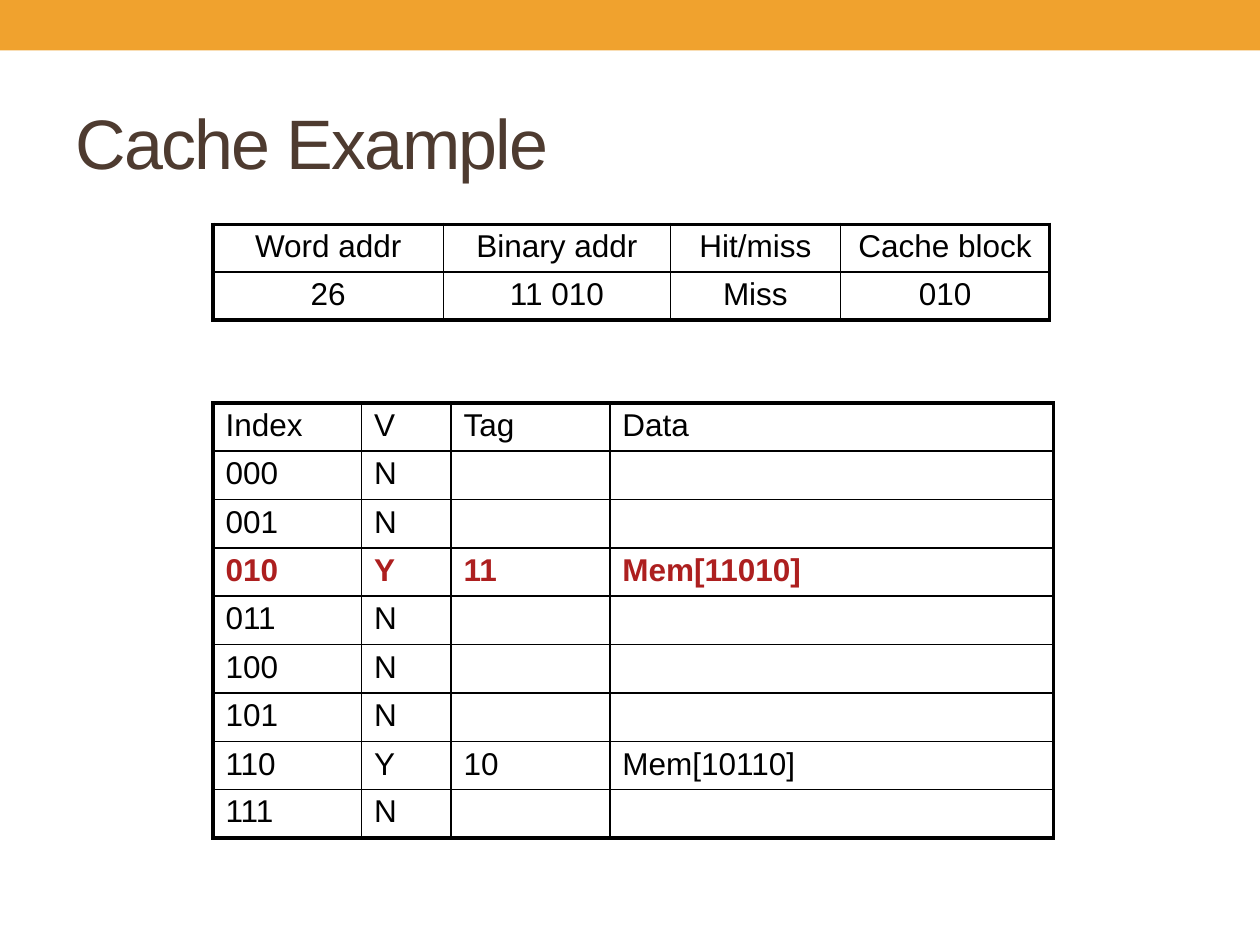
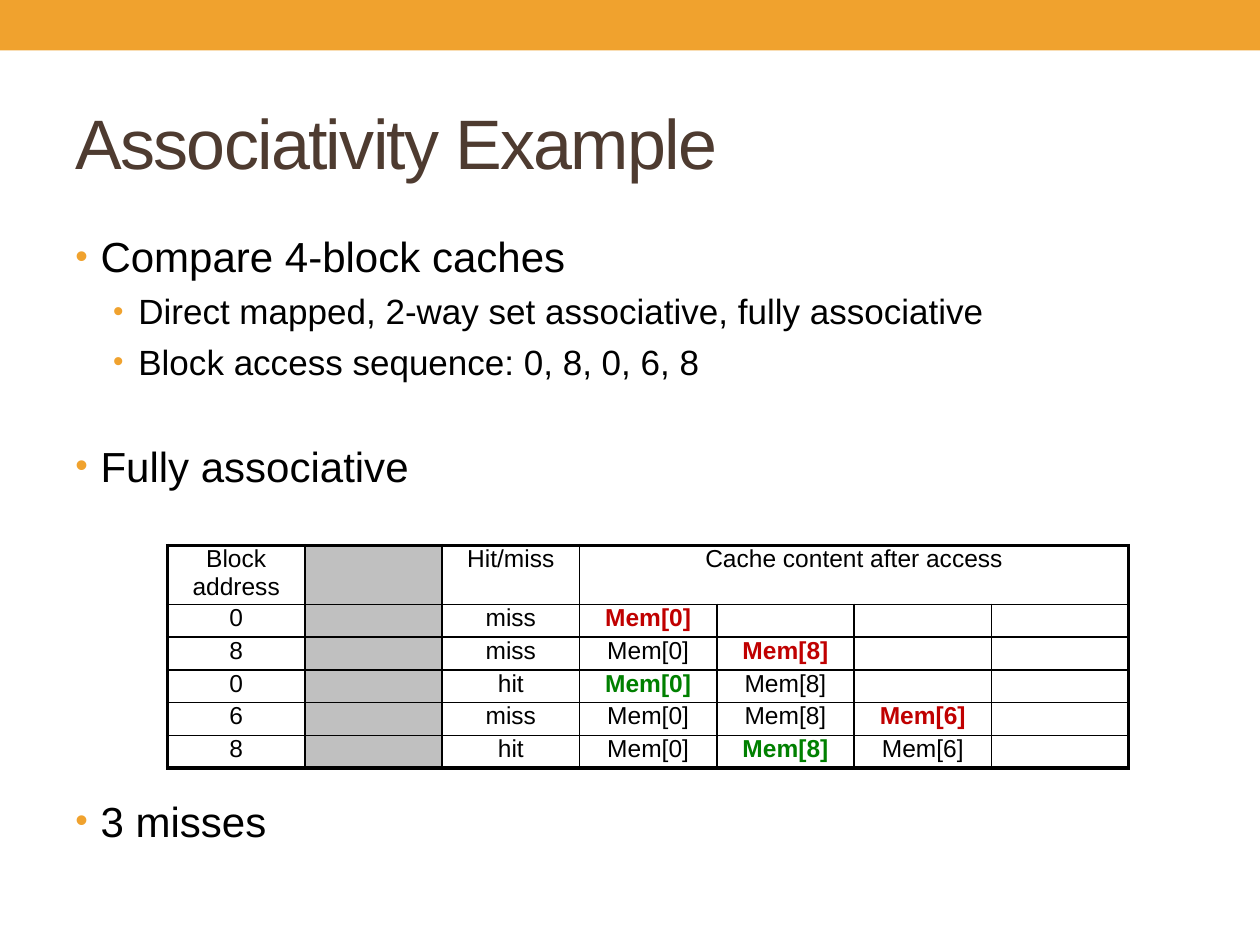
import pptx
import pptx.util
import pptx.dml.color
import pptx.enum.shapes
import pptx.enum.text
import pptx.oxml.ns
from lxml import etree

Inches, Pt = pptx.util.Inches, pptx.util.Pt
ALIGN = pptx.enum.text.PP_ALIGN
FONT = "Arial"
COLORS = dict(band="F0A22E", title="4E3B30", text="000000", updated="AD1F1F",
              miss="C00000", hit="008000", unused="C0C0C0")
W, H = 10, 7.5

# Content: a cell is a text or a (text, color name) pair
ACCESS = [["Word addr", "Binary addr", "Hit/miss", "Cache block"],
          ["26", "11 010", "Miss", "010"]]
VALID_BLOCKS = {"010": ("11", "Mem[11010]"), "110": ("10", "Mem[10110]")}
UPDATED_INDEX = "010"

BULLETS = [  # level, text, space before
    (0, "Compare 4-block caches", 0),
    (1, "Direct mapped, 2-way set associative, fully associative", 5),
    (1, "Block access sequence: 0, 8, 0, 6, 8", 5),
    (0, "Fully associative", 33),
    (0, "3 misses", 174),
]
LEVELS = [dict(size=24, left=0.2), dict(size=20, left=0.5)]
CACHE_HEAD = ["Block address", "", "Hit/miss", "Cache content after access", "", "", ""]
CACHE_STEPS = [  # block address, result, memory blocks held, position accessed
    (0, "miss", [0], 0),
    (8, "miss", [0, 8], 1),
    (0, "hit", [0, 8], 0),
    (6, "miss", [0, 8, 6], 2),
    (8, "hit", [0, 8, 6], 1),
]


def rgb(name):
    return pptx.dml.color.RGBColor.from_string(COLORS[name])


def sub(parent, tag, **attrs):
    return etree.SubElement(parent, pptx.oxml.ns.qn(tag), attrs)


def write(p, text, size=18, color="text", bold=False, align=ALIGN.LEFT, before=0, spacing=None):
    p.alignment, p.space_before = align, Pt(before)
    if not text:  # an empty line still needs its height
        sub(p._p, "a:endParaRPr", sz=str(size * 100))
        return
    r = p.add_run()
    r.text = text
    r.font.name, r.font.size, r.font.bold = FONT, Pt(size), bold
    r.font.color.rgb = rgb(color)
    if spacing is not None:
        r.font._element.set("spc", str(spacing))


def add_slide(prs, title):
    s = prs.slides.add_slide(prs.slide_layouts[5])
    band = s.shapes.add_shape(pptx.enum.shapes.MSO_SHAPE.RECTANGLE, 0, 0, Inches(W), Inches(0.4))
    band.shadow.inherit = False
    band.fill.solid()
    band.fill.fore_color.rgb = rgb("band")
    band.line.fill.background()
    sp = s.shapes.title
    sp.left, sp.top, sp.width, sp.height = map(Inches, (0.5, 0.58, W - 1, 1.08))
    sp.text_frame.vertical_anchor = pptx.enum.text.MSO_ANCHOR.MIDDLE
    write(sp.text_frame.paragraphs[0], title, size=40, color="title", spacing=-100)
    return s


def set_borders(cell, widths):
    tc_pr = cell._tc.get_or_add_tcPr()
    for side, width in zip("LRTB", widths):
        ln = sub(tc_pr, f"a:ln{side}", w=str(Pt(width)))
        sub(sub(ln, "a:solidFill"), "a:srgbClr", val=COLORS["text"])


def add_table(s, rows, left, top, cols, heights, size=18, align=ALIGN.CENTER,
              margin=0.04, head_line=1, merge=None, gray_col=None):
    n, m = len(rows), len(cols)
    table = s.shapes.add_table(n, m, Inches(left), Inches(top),
                               Inches(sum(cols)), Inches(sum(heights))).table
    table.first_row = table.horz_banding = False
    for column, width in zip(table.columns, cols):
        column.width = Inches(width)
    for row, height in zip(table.rows, heights):
        row.height = Inches(height)
    if merge:
        table.cell(0, merge[0]).merge(table.cell(0, merge[1]))

    # Horizontal and vertical grid lines: thick frame, thin inside
    across = [2.25, head_line] + [1] * (n - 2) + [2.25]
    down = [2.25] + [1] * (m - 1) + [2.25]
    for i, row in enumerate(rows):
        for j, content in enumerate(row):
            cell = table.cell(i, j)
            if cell.is_spanned:
                continue
            end = j + (cell.span_width if cell.is_merge_origin else 1)
            cell.margin_top = cell.margin_bottom = Inches(margin)
            set_borders(cell, (down[j], down[end], across[i], across[i + 1]))
            if j == gray_col:
                cell.fill.solid()
                cell.fill.fore_color.rgb = rgb("unused")
            else:
                cell.fill.background()
            text, color = content if isinstance(content, tuple) else (content, "text")
            write(cell.text_frame.paragraphs[0], text, size=size, color=color,
                  bold=color != "text", align=align)


def add_bullets(s):
    sp = s.shapes.add_textbox(Inches(0.5), Inches(1.75), Inches(W - 1), Inches(5.33))
    tf = sp.text_frame
    tf.word_wrap = True
    tf.margin_top = Inches(0.08)
    for i, (level, text, before) in enumerate(BULLETS):
        p = tf.add_paragraph() if i else tf.paragraphs[0]
        p.level = level
        write(p, text, size=LEVELS[level]["size"], before=before)
        p_pr = p._p.get_or_add_pPr()
        p_pr.set("marL", str(Inches(LEVELS[level]["left"])))
        p_pr.set("indent", str(Inches(-0.2)))
        sub(sub(p_pr, "a:buClr"), "a:srgbClr", val=COLORS["band"])
        sub(p_pr, "a:buSzPct", val="85000")
        sub(p_pr, "a:buFont", typeface=FONT)
        sub(p_pr, "a:buChar", char="•")


def block_rows():
    rows = [["Index", "V", "Tag", "Data"]]
    for k in range(8):
        index = f"{k:03b}"
        tag, data = VALID_BLOCKS.get(index, ("", ""))
        color = "updated" if index == UPDATED_INDEX else "text"
        rows.append([(t, color) for t in (index, "Y" if tag else "N", tag, data)])
    return rows


def cache_rows():
    rows = [CACHE_HEAD]
    for address, result, blocks, accessed in CACHE_STEPS:
        held = [(f"Mem[{b}]", result if k == accessed else "text") for k, b in enumerate(blocks)]
        rows.append([str(address), "", result] + held + [""] * (4 - len(held)))
    return rows


def main():
    prs = pptx.Presentation()
    prs.slide_width, prs.slide_height = Inches(W), Inches(H)

    # Cache contents after one access
    s = add_slide(prs, "Cache Example")
    add_table(s, block_rows(), 1.69, 3.2, [1.18, 0.71, 1.26, 3.52], [0.38] * 9,
              align=ALIGN.LEFT, head_line=1.5)
    add_table(s, ACCESS, 1.69, 1.78, [1.83, 1.8, 1.35, 1.66], [0.38] * 2, head_line=1.5)

    # Fully associative access sequence
    s = add_slide(prs, "Associativity Example")
    add_bullets(s)
    add_table(s, cache_rows(), 1.33, 4.33, [1.09] * 7, [0.44] + [0.26] * 5, size=14,
              margin=0, merge=(3, 6), gray_col=1)
    prs.save("out.pptx")


if __name__ == "__main__":
    main()
